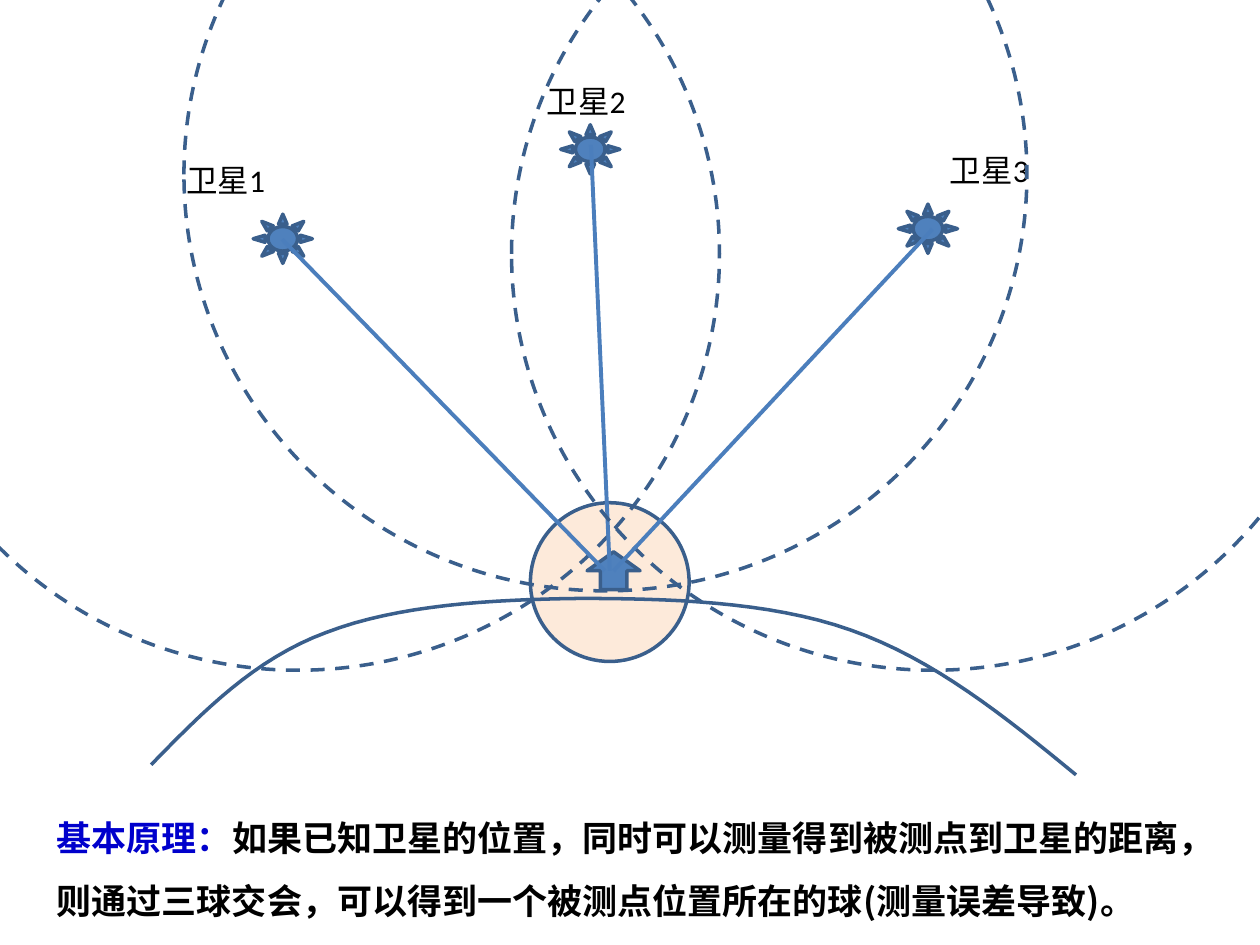
from dataclasses import dataclass
from lxml.etree import SubElement
from pptx import Presentation
from pptx.dml.color import RGBColor
from pptx.enum.dml import MSO_LINE
from pptx.enum.shapes import MSO_CONNECTOR, MSO_SHAPE
from pptx.enum.text import MSO_ANCHOR, MSO_AUTO_SIZE, PP_ALIGN
from pptx.oxml.ns import qn
from pptx.util import Inches, Pt


@dataclass(frozen=True)
class Theme:
    """Colours, type sizes and line widths of the slide."""
    outline: str = "3A5F8C"
    solid: str = "4F81BD"
    ray: str = "4B7EBC"
    error_zone: str = "FDEADA"
    ink: str = "000000"
    accent: str = "0000CC"
    label_font: str = "Calibri"
    cjk_font: str = "Noto Sans CJK SC"
    label_size: int = 18
    body_size: int = 20
    outline_width: float = 2
    ray_width: float = 2.25


class Diagram:
    """Draws on one slide with a grid of 100 columns and 75 rows."""

    def __init__(self, theme):
        """Open a titled layout and drop its unused title."""
        self.theme = theme
        self.deck = Presentation()
        self.deck.slide_width, self.deck.slide_height = Inches(10), Inches(7.5)
        self.slide = self.deck.slides.add_slide(self.deck.slide_layouts[1])
        title = self.slide.shapes.title.element
        title.getparent().remove(title)

    def grid(self, *cells):
        """Turn alternating columns and rows into lengths."""
        units = self.deck.slide_width / 100, self.deck.slide_height / 75
        return [round(cell * units[i % 2]) for i, cell in enumerate(cells)]

    def apply(self, target, formats):
        """Set each format value on the target."""
        for name, value in formats.items():
            setattr(target, name, value)

    def paint(self, shape, fill=None, dash=None):
        """Give a shape its fill and outline."""
        shape.shadow.inherit = False
        if fill:
            shape.fill.solid()
            shape.fill.fore_color.rgb = RGBColor.from_string(fill)
        else:
            shape.fill.background()
        shape.line.color.rgb = RGBColor.from_string(self.theme.outline)
        self.apply(shape.line, {"width": Pt(self.theme.outline_width), "dash_style": dash})

    def centred(self, kind, centre, size, fill=None, dash=None):
        """Add a preset shape around its centre."""
        (x, y), (width, height) = centre, size
        box = self.grid(x - width / 2, y - height / 2, width, height)
        self.paint(self.slide.shapes.add_shape(kind, *box), fill, dash)

    def ray(self, start, end):
        """Add a straight connector."""
        line = self.slide.shapes.add_connector(MSO_CONNECTOR.STRAIGHT, *self.grid(*start, *end))
        line.line.color.rgb = RGBColor.from_string(self.theme.ray)
        line.line.width = Pt(self.theme.ray_width)
        SubElement(line.element.spPr, qn("a:effectLst"))

    def curve(self, start, segments, steps=16):
        """Add an open outline along cubic Bezier segments."""
        points, origin = [], start
        for first, second, end in segments:
            for step in range(1, steps + 1):
                t = step / steps
                weights = (1 - t) ** 3, 3 * t * (1 - t) ** 2, 3 * t * t * (1 - t), t ** 3
                anchors = origin, first, second, end
                points.append(self.grid(*(sum(w * a[axis] for w, a in zip(weights, anchors))
                                          for axis in (0, 1))))
            origin = end
        builder = self.slide.shapes.build_freeform(*self.grid(*start))
        builder.add_line_segments(points, close=False)
        self.paint(builder.convert_to_shape())

    def set_text(self, holder, pieces, font, size, bold=False, spacing=1.0):
        """Fill a text holder with coloured runs."""
        frame = holder.text_frame
        self.apply(frame, {"word_wrap": True, "auto_size": MSO_AUTO_SIZE.SHAPE_TO_FIT_TEXT,
                           "vertical_anchor": MSO_ANCHOR.TOP})
        paragraph = frame.paragraphs[0]
        self.apply(paragraph, {"alignment": PP_ALIGN.LEFT, "line_spacing": spacing,
                               "space_before": Pt(0)})
        for text, colour in pieces:
            run = paragraph.add_run()
            run.text = text
            run.font.color.rgb = RGBColor.from_string(colour)
            self.apply(run.font, {"name": font, "size": Pt(size), "bold": bold})
            properties = run._r.get_or_add_rPr()
            SubElement(properties, qn("a:ea")).set("typeface", self.theme.cjk_font)
        return paragraph

    def label(self, text, corner):
        """Add a satellite name."""
        box = self.slide.shapes.add_textbox(*self.grid(*corner, 8.3, 4))
        self.set_text(box, [(text, self.theme.ink)], self.theme.label_font, self.theme.label_size)

    def body(self, pieces, box):
        """Place the body placeholder as plain unbulleted text."""
        holder = self.slide.placeholders[1]
        self.apply(holder, dict(zip(("left", "top", "width", "height"), self.grid(*box))))
        paragraph = self.set_text(holder, pieces, self.theme.cjk_font, self.theme.body_size,
                                  True, 1.5)
        properties = paragraph._p.get_or_add_pPr()
        for name in ("marL", "indent"):
            properties.set(name, "0")
        SubElement(properties, qn("a:buNone"))


@dataclass(frozen=True)
class Satellite:
    """Places belonging to one satellite."""
    name: str
    centre: tuple
    label: tuple
    sphere: tuple
    ray_start: tuple
    ray_end: tuple


SATELLITES = (
    Satellite("卫星1", (22.45, 18.95), (13.8, 12.3), (23.65, 20.15), (22.4, 19), (48, 45.3)),
    Satellite("卫星2", (46.85, 11.85), (42.4, 6), (48.05, 13.85), (46.9, 11.5), (48.4, 45.3)),
    Satellite("卫星3", (73.65, 18.15), (74.4, 11.5), (74.05, 20.15), (74, 18.2), (48.7, 45.3)),
)
GROUND = (
    ((16.1, 56.5), (20.2, 52.3), (25.9, 50.2)),
    ((31.6, 48), (39, 47.6), (45.9, 47.5)),
    ((52.8, 47.5), (61, 47.7), (67.5, 50)),
    ((74.1, 52.3), (79.8, 56.9), (85.4, 61.5)),
)

theme = Theme()
diagram = Diagram(theme)
diagram.centred(MSO_SHAPE.OVAL, (48.4, 46.2), (12.6, 12.6), theme.error_zone)
for satellite in SATELLITES:
    diagram.centred(MSO_SHAPE.SUN, satellite.centre, (4.7, 3.9), theme.solid)
    diagram.label(satellite.name, satellite.label)
diagram.curve((12, 60.7), GROUND)
diagram.centred(MSO_SHAPE.UP_ARROW, (48.7, 45.3), (4.2, 3), theme.solid)
diagram.body([
    ("基本原理：", theme.accent),
    ("如果已知卫星的位置，同时可以测量得到被测点到卫星的距离，"
     "则通过三球交会，可以得到一个被测点位置所在的球(测量误差导致)。", theme.ink),
], (3.5, 62.6, 92.9, 11.1))
for satellite in SATELLITES:
    diagram.centred(MSO_SHAPE.OVAL, satellite.sphere, (66.9, 66.1), dash=MSO_LINE.DASH)
    diagram.ray(satellite.ray_start, satellite.ray_end)
diagram.deck.save("out.pptx")
